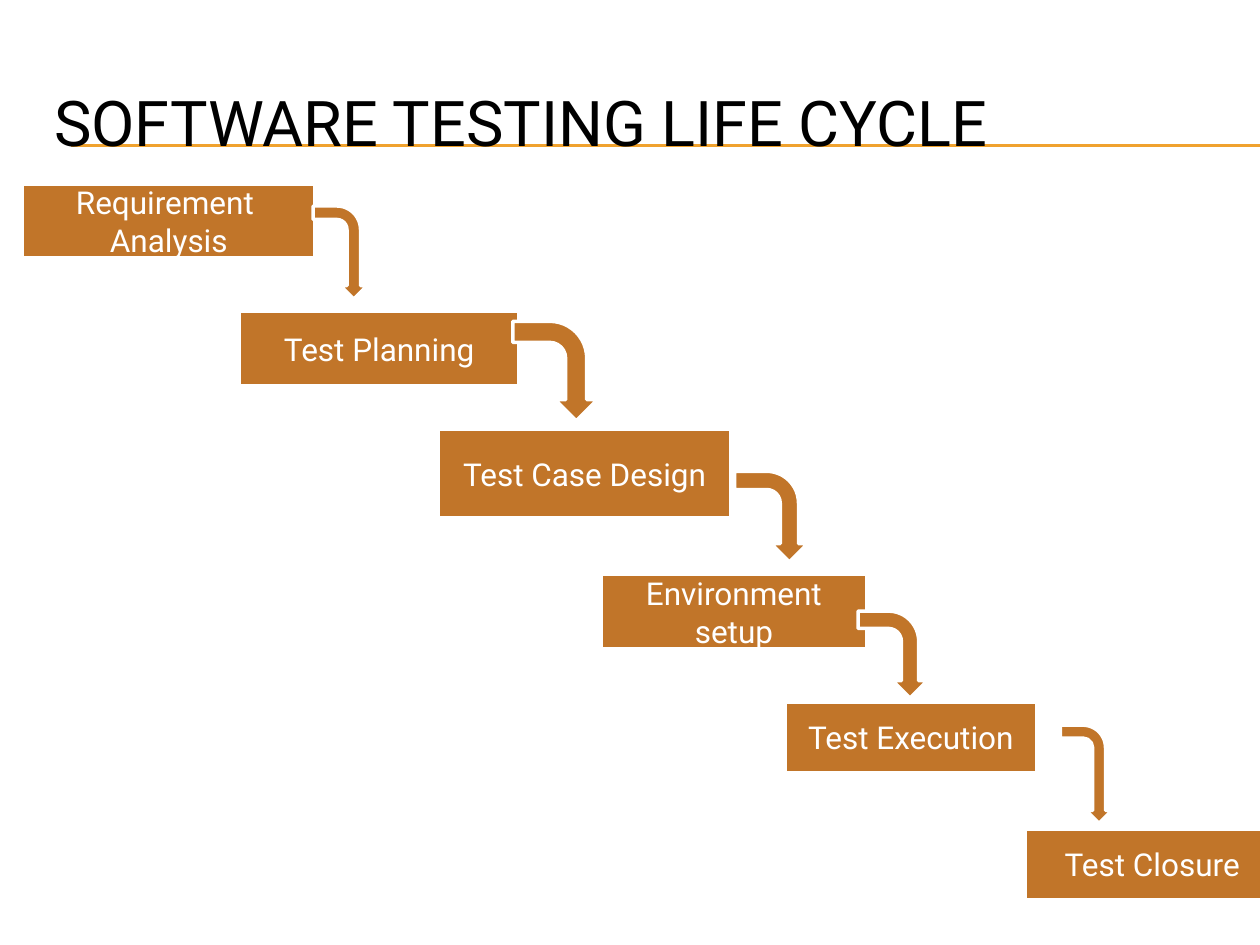
from typing import NamedTuple

from lxml.etree import SubElement
from pptx import Presentation
from pptx.dml.color import RGBColor
from pptx.enum.shapes import MSO_CONNECTOR, MSO_SHAPE
from pptx.enum.text import MSO_ANCHOR, PP_ALIGN
from pptx.oxml.ns import qn
from pptx.util import Inches, Pt

BLACK = RGBColor(0x00, 0x00, 0x00)
WHITE = RGBColor(0xFF, 0xFF, 0xFF)
OCHRE = RGBColor(0xC1, 0x75, 0x29)
AMBER = RGBColor(0xF0, 0xA2, 0x2E)
FONT = "Roboto"

# The slide is a grid of 100 columns by 75 rows of square cells.
COLUMNS, ROWS = 100, 75
CELL = Inches(0.1)


class Area(NamedTuple):
    column: float
    row: float
    columns: float
    rows: float


class Phase(NamedTuple):
    label: str
    area: Area


PHASES = [
    Phase("Requirement \nAnalysis", Area(1.8, 14.6, 23.2, 5.9)),
    Phase("Test Planning", Area(19, 24.7, 22.2, 5.9)),
    Phase("Test Case Design", Area(34.8, 34.1, 23.2, 7)),
    Phase("Environment setup", Area(47.7, 45.6, 21.1, 5.9)),
    Phase("Test Execution", Area(62.3, 55.7, 20, 5.6)),
    Phase("Test Closure", Area(81.4, 65.8, 20.1, 5.6)),
]

# Frames of the arrows before their quarter turn
STEPS_DOWN = [
    Area(23.3, 17.9, 7.4, 4.3),
    Area(40.1, 26.1, 7.9, 6.7),
    Area(57.6, 38.1, 7.2, 5.8),
    Area(67.4, 49.2, 6.9, 5.5),
    Area(82.3, 59.4, 7.8, 4.1),
]


def cells(count: float) -> int:
    return round(count * CELL)


def style_text(frame, size: int, color: RGBColor, align: PP_ALIGN) -> None:
    frame.word_wrap = True
    frame.vertical_anchor = MSO_ANCHOR.MIDDLE
    for paragraph in frame.paragraphs:
        paragraph.alignment = align
        for run in paragraph.runs:
            run.font.name = FONT
            run.font.size = Pt(size)
            run.font.color.rgb = color


def add_block(slide, preset: MSO_SHAPE, area: Area):
    """Add an ochre shape with a white outline."""
    block = slide.shapes.add_shape(preset, *map(cells, area))
    block.shadow.inherit = False
    block.fill.solid()
    block.fill.fore_color.rgb = OCHRE
    block.line.color.rgb = WHITE
    block.line.width = Pt(2)
    return block


def add_phase(slide, phase: Phase) -> None:
    block = add_block(slide, MSO_SHAPE.RECTANGLE, phase.area)
    block.text_frame.text = phase.label
    style_text(block.text_frame, 18, WHITE, PP_ALIGN.CENTER)


def add_title_rule(slide, row: float) -> None:
    rule = slide.shapes.add_connector(
        MSO_CONNECTOR.STRAIGHT, cells(5.6), cells(row), cells(COLUMNS), cells(row))
    rule.line.color.rgb = AMBER
    rule.line.width = Pt(0.75)
    SubElement(rule.element.spPr, qn("a:effectLst"))


def add_title(slide, text: str, area: Area) -> None:
    title = slide.shapes.title
    title.left, title.top, title.width, title.height = map(cells, area)
    title.text_frame.text = text
    style_text(title.text_frame, 36, BLACK, PP_ALIGN.LEFT)
    # Bring the title in front of its rules
    slide.shapes.element.append(title.element)


def main() -> None:
    deck = Presentation()
    deck.slide_width, deck.slide_height = cells(COLUMNS), cells(ROWS)
    slide = deck.slides.add_slide(deck.slide_layouts.get_by_name("Title Only"))

    for row in (11.5, 11.6):
        add_title_rule(slide, row)
    add_title(slide, "SOFTWARE TESTING LIFE CYCLE", Area(3.3, 5, 95, 9.2))
    for phase in PHASES:
        add_phase(slide, phase)
    for area in STEPS_DOWN:
        add_block(slide, MSO_SHAPE.BENT_ARROW, area).rotation = 90

    deck.save("out.pptx")


if __name__ == "__main__":
    main()
